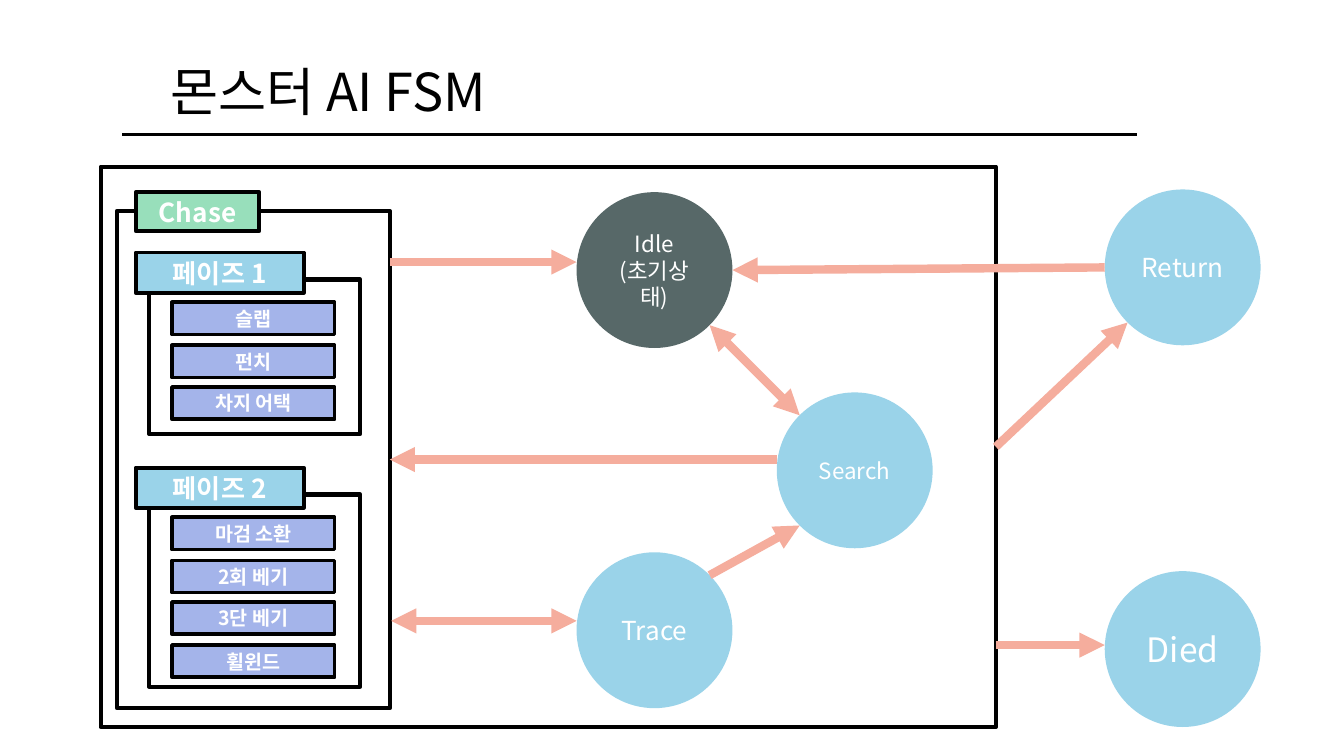
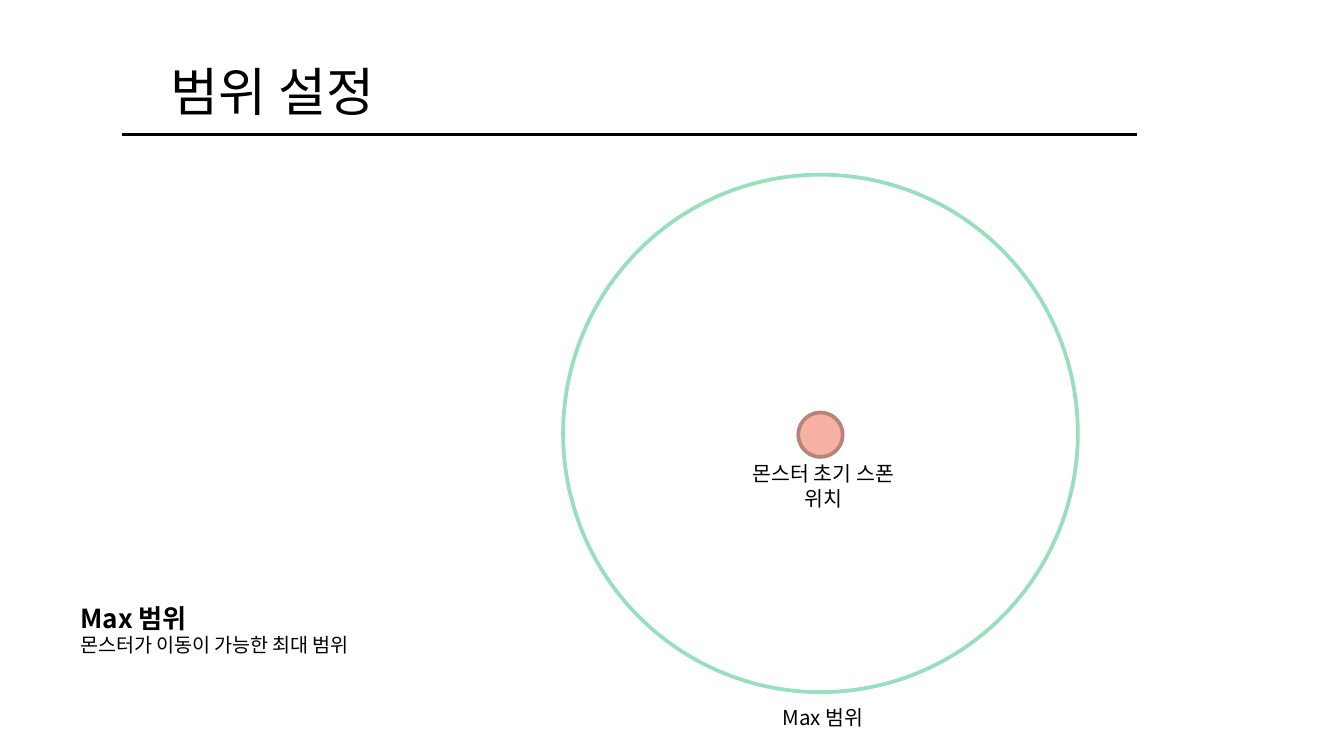
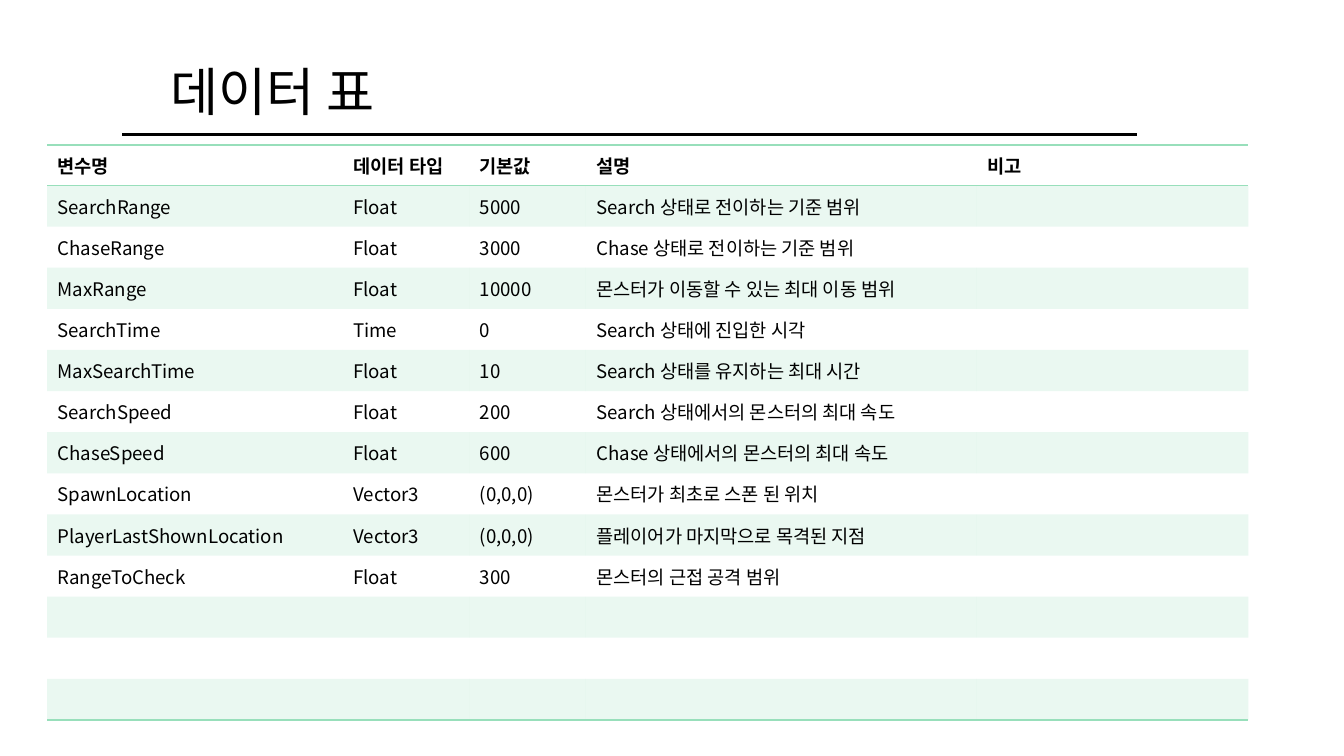
import pptx
import pptx.dml.color
import pptx.enum.shapes
import pptx.enum.text
import pptx.oxml
import pptx.oxml.ns
import pptx.util

RGB = pptx.dml.color.RGBColor
SHAPE = pptx.enum.shapes.MSO_SHAPE
ALIGN = pptx.enum.text.PP_ALIGN
ANCHOR = pptx.enum.text.MSO_ANCHOR
qn = pptx.oxml.ns.qn

PX = 9144  # EMU; 100 px to the inch
FONT = "Noto Sans CJK KR"
NO_TABLE_STYLE = "{2D5ABB26-0587-4C30-8999-92F81FD0307C}"

BLACK = RGB(0x00, 0x00, 0x00)
WHITE = RGB(0xFF, 0xFF, 0xFF)
SLATE = RGB(0x57, 0x68, 0x68)
SKY = RGB(0x9A, 0xD3, 0xE9)
LAVENDER = RGB(0xA4, 0xB4, 0xEA)
MINT = RGB(0x98, 0xDF, 0xBB)
CORAL = RGB(0xF5, 0xAD, 0x9D)
SPAWN_FILL = RGB(0xF8, 0xB2, 0xA3)
SPAWN_LINE = RGB(0xB7, 0x84, 0x79)

STATE_SIZE = 116
STATES = [
    ("Idle\n(초기상태)", 429, 143, SLATE, 12),
    ("Search", 578, 292, SKY, 12),
    ("Trace", 429, 411, SKY, 14),
    ("Return", 822, 141, SKY, 14),
    ("Died", 822, 425, SKY, 18),
]
PHASES = [
    ("페이즈 1", 188, 115, ["슬랩", "펀치", "차지 어택"]),
    ("페이즈 2", 348, 143, ["마검 소환", "2회 베기", "3단 베기", "휠윈드"]),
]

COLUMN_WIDTHS = [220, 94, 87, 291, 202]
BODY_HEIGHT = 398
TABLE_ROWS = [
    ("변수명", "데이터 타입", "기본값", "설명", "비고"),
    ("SearchRange", "Float", "5000", "Search 상태로 전이하는 기준 범위", ""),
    ("ChaseRange", "Float", "3000", "Chase 상태로 전이하는 기준 범위", ""),
    ("MaxRange", "Float", "10000", "몬스터가 이동할 수 있는 최대 이동 범위", ""),
    ("SearchTime", "Time", "0", "Search 상태에 진입한 시각", ""),
    ("MaxSearchTime", "Float", "10", "Search 상태를 유지하는 최대 시간", ""),
    ("SearchSpeed", "Float", "200", "Search 상태에서의 몬스터의 최대 속도", ""),
    ("ChaseSpeed", "Float", "600", "Chase 상태에서의 몬스터의 최대 속도", ""),
    ("SpawnLocation", "Vector3", "(0,0,0)", "몬스터가 최초로 스폰 된 위치", ""),
    ("PlayerLastShownLocation", "Vector3", "(0,0,0)", "플레이어가 마지막으로 목격된 지점", ""),
    ("RangeToCheck", "Float", "300", "몬스터의 근접 공격 범위", ""),
    ("",) * 5,
    ("",) * 5,
    ("",) * 5,
]


def scaled(*lengths):
    return [round(length * PX) for length in lengths]


def add_xml(parent, tag, **attributes):
    child = pptx.oxml.parse_xml(f"<{tag} {pptx.oxml.ns.nsdecls('a')}/>")
    for name, value in attributes.items():
        child.set(name, value)
    parent.append(child)
    return child


def write_line(para, text, size, color=BLACK, bold=False, align=ALIGN.LEFT):
    para.alignment = align
    if not text:
        para._p.get_or_add_endParaRPr().set("sz", str(size * 100))
        return
    span = para.add_run()
    span.text = text
    font_format = {"name": FONT, "size": pptx.util.Pt(size), "bold": bold}
    for name, value in font_format.items():
        setattr(span.font, name, value)
    span.font.color.rgb = color
    add_xml(span._r.get_or_add_rPr(), "a:ea", typeface=FONT)


def add_text(page, box, lines, grow=True, **frame_format):
    """Each line is a dict of write_line arguments."""
    frame = page.shapes.add_textbox(*scaled(*box)).text_frame
    auto = pptx.enum.text.MSO_AUTO_SIZE
    frame_format["auto_size"] = auto.SHAPE_TO_FIT_TEXT if grow else auto.NONE
    frame_format["word_wrap"] = True
    for name, value in frame_format.items():
        setattr(frame, name, value)
    for index, line in enumerate(lines):
        para = frame.add_paragraph() if index else frame.paragraphs[0]
        write_line(para, **line)


def add_block(page, kind, box, fill=None, line=None, width=2, text="", size=12, bold=False):
    """Preset shape with centred white text; no colour means no fill or line."""
    block = page.shapes.add_shape(kind, *scaled(*box))
    block.shadow.inherit = False
    if fill is None:
        block.fill.background()
    else:
        block.fill.solid()
        block.fill.fore_color.rgb = fill
    if line is None:
        block.line.fill.background()
    else:
        block.line.color.rgb = line
        block.line.width = pptx.util.Pt(width)
    if text:
        frame = block.text_frame
        frame.vertical_anchor = ANCHOR.MIDDLE
        for index, words in enumerate(text.split("\n")):
            para = frame.add_paragraph() if index else frame.paragraphs[0]
            write_line(para, words, size, WHITE, bold, ALIGN.CENTER)
    return block


def add_line(page, start, end, color=BLACK, width=2, heads=()):
    """heads names the ends with an arrowhead: headEnd at start, tailEnd at end."""
    line = page.shapes.add_connector(
        pptx.enum.shapes.MSO_CONNECTOR.STRAIGHT, *scaled(*start, *end))
    line.line.color.rgb = color
    line.line.width = pptx.util.Pt(width)
    for head in heads:
        add_xml(line.line._get_or_add_ln(), f"a:{head}", type="triangle")
    add_xml(line.element.spPr, "a:effectLst")
    return line


def add_arrow(page, start, end, both_ways=False):
    heads = ("headEnd", "tailEnd") if both_ways else ("tailEnd",)
    return add_line(page, start, end, CORAL, 4.5, heads)


def add_page(deck, title):
    page = deck.slides.add_slide(deck.slide_layouts[6])
    add_line(page, (91, 100), (846, 100))
    add_text(page, (117, 44, 698, 51), [{"text": title, "size": 28}], grow=False, margin_top=0)
    return page


def add_phase(page, left, top, name, frame_height, attacks):
    add_block(page, SHAPE.RECTANGLE, (left + 10, top + 20, 157, frame_height),
              line=BLACK, width=2.25)
    add_block(page, SHAPE.RECTANGLE, (left, top, 125, 30), SKY, BLACK,
              text=name, size=14, bold=True)
    for index, attack in enumerate(attacks):
        box = (left + 27, top + 37 + round(index * 31.7), 121, 24)
        add_block(page, SHAPE.RECTANGLE, box, LAVENDER, BLACK,
                  text=attack, size=10.5, bold=True)


def add_chase(page, left, top, width, height):
    chase = add_block(page, SHAPE.RECTANGLE, (left, top, width, height),
                      line=BLACK, width=2.25)
    add_block(page, SHAPE.RECTANGLE, (left + 14, top - 14, 92, 29), MINT, BLACK,
              text="Chase", size=14, bold=True)
    for name, phase_top, frame_height, attacks in PHASES:
        add_phase(page, left + 14, phase_top, name, frame_height, attacks)
    return chase


def build_state_machine(deck):
    page = add_page(deck, "몬스터 AI FSM")
    field = add_block(page, SHAPE.RECTANGLE, (75, 124, 666, 417), line=BLACK, width=2.25)
    chase = add_chase(page, 87, 157, 203, 370)
    for name, left, top, fill, size in STATES:
        add_block(page, SHAPE.OVAL, (left, top, STATE_SIZE, STATE_SIZE), fill,
                  text=name, size=size)

    search_to_chase = add_arrow(page, (578, 342), (290, 342))
    search_to_chase.end_connect(chase, 3)
    field_to_return = add_arrow(page, (741, 332), (839, 240))
    field_to_return.begin_connect(field, 3)
    add_arrow(page, (528, 428), (595, 391))
    add_arrow(page, (290, 195), (429, 195))
    add_arrow(page, (741, 480), (822, 480))
    add_arrow(page, (822, 199), (545, 201))
    add_arrow(page, (429, 462), (291, 462), both_ways=True)
    add_arrow(page, (595, 309), (528, 242), both_ways=True)


def build_range(deck):
    page = add_page(deck, "범위 설정")
    add_block(page, SHAPE.OVAL, (594, 307, 33, 33), SPAWN_FILL, SPAWN_LINE)
    add_block(page, SHAPE.OVAL, (419, 130, 383, 385), line=MINT)
    labels = [("Max 범위", (554, 520, 117, 29)),
              ("몬스터 초기 스폰 위치", (541, 338, 143, 29))]
    for text, box in labels:
        add_text(page, box, [{"text": text, "size": 11, "align": ALIGN.CENTER}])
    add_text(page, (50, 443, 261, 51), [
        {"text": "Max 범위", "size": 14, "bold": True},
        {"text": "몬스터가 이동이 가능한 최대 범위", "size": 10.5},
    ])


def style_cell(cell, banded, borders):
    """borders lists the ruled sides in schema order: lnT, then lnB."""
    cell_format = {"vertical_anchor": ANCHOR.MIDDLE}
    for side, margin in {"left": 8, "top": 5, "right": 10, "bottom": 5}.items():
        cell_format[f"margin_{side}"] = margin * PX
    for name, value in cell_format.items():
        setattr(cell, name, value)

    properties = cell._tc.get_or_add_tcPr()
    for side in borders:
        border = add_xml(properties, f"a:{side}", w=str(pptx.util.Pt(1)))
        add_xml(add_xml(border, "a:solidFill"), "a:srgbClr", val=str(MINT))
    if banded:
        fill = add_xml(properties, "a:solidFill")
        add_xml(add_xml(fill, "a:srgbClr", val=str(MINT)), "a:alpha", val="20000")
    else:
        add_xml(properties, "a:noFill")


def build_data_table(deck):
    page = add_page(deck, "데이터 표")
    last = len(TABLE_ROWS) - 1
    holder = page.shapes.add_table(len(TABLE_ROWS), len(COLUMN_WIDTHS),
                                   *scaled(35, 108, sum(COLUMN_WIDTHS), 425))
    holder.element.find(f".//{qn('a:tableStyleId')}").text = NO_TABLE_STYLE
    table = holder.table
    table.first_row = table.horz_banding = False
    for column, width in zip(table.columns, COLUMN_WIDTHS):
        column.width = width * PX
    ruled = {0: ("lnT", "lnB"), last: ("lnB",)}
    for index, (row, texts) in enumerate(zip(table.rows, TABLE_ROWS)):
        row.height = BODY_HEIGHT * PX // last if index else 20 * PX
        for cell, text in zip(row.cells, texts):
            style_cell(cell, index % 2 == 1, ruled.get(index, ()))
            write_line(cell.text_frame.paragraphs[0], text, 10, bold=index == 0)


def main():
    deck = pptx.Presentation()
    deck.slide_width, deck.slide_height = scaled(1000, 562.5)
    build_state_machine(deck)
    build_range(deck)
    build_data_table(deck)
    deck.save("out.pptx")


if __name__ == "__main__":
    main()
